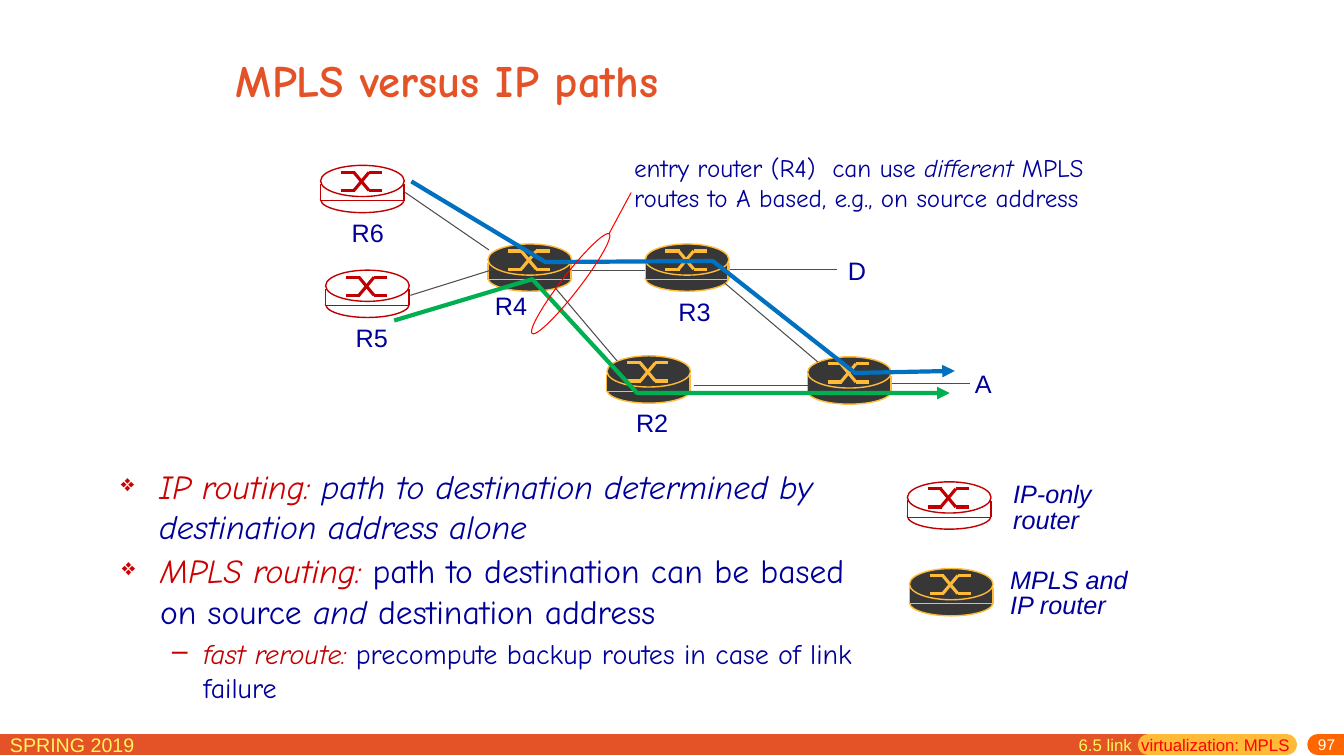
from lxml import etree
from pptx import Presentation
from pptx.dml.color import RGBColor
from pptx.enum.shapes import MSO_CONNECTOR, MSO_SHAPE
from pptx.enum.text import MSO_ANCHOR, MSO_AUTO_SIZE, PP_ALIGN
from pptx.oxml.ns import qn
from pptx.util import Inches, Pt

STRAIGHT = MSO_CONNECTOR.STRAIGHT
OVAL, RECTANGLE = MSO_SHAPE.OVAL, MSO_SHAPE.RECTANGLE
MIDDLE = MSO_ANCHOR.MIDDLE
LEFT, RIGHT = PP_ALIGN.LEFT, PP_ALIGN.RIGHT
FIT_SHAPE = MSO_AUTO_SIZE.SHAPE_TO_FIT_TEXT

SANS, HAND = "Arial", "Comic Neue"
COLORS = {
    "orange": "E45327", "amber": "FFBA37", "page": "FF6600", "yellow": "FFF65C",
    "white": "FFFFFF", "dark": "373737", "router_red": "C00000", "term": "CC0000",
    "navy": "000099", "link": "4C4C4C", "blue_path": "0070C0",
    "green_path": "00B050", "red": "FF0000",
}
IP_ROUTER = ("white", "router_red")
MPLS_ROUTER = ("dark", "amber")


def rgb(name):
    return RGBColor.from_string(COLORS[name])


def add_line(shapes, start, end, color, width, cap=None):
    line = shapes.add_connector(STRAIGHT, *(Inches(v) for v in (*start, *end)))
    line.line.color.rgb = rgb(color)
    line.line.width = Pt(width)
    if cap:
        line.line._get_or_add_ln().set("cap", cap)
    etree.SubElement(line._element.spPr, qn("a:effectLst"))
    return line


def add_outline(shapes, kind, box, fill, color, width):
    shape = shapes.add_shape(kind, *(Inches(v) for v in box))
    shape.shadow.inherit = False
    if fill:
        shape.fill.solid()
        shape.fill.fore_color.rgb = rgb(fill)
    else:
        shape.fill.background()
    shape.line.color.rgb = rgb(color)
    shape.line.width = Pt(width)
    return shape


def add_router(slide, x, y, palette):
    fill, color = palette
    parts = slide.shapes.add_group_shape().shapes
    add_outline(parts, OVAL, (x, y + 0.21, 0.83, 0.26), fill, color, 1)
    for side in (x, x + 0.83):
        add_line(parts, (side, y + 0.19), (side, y + 0.35), color, 1)
    add_outline(parts, RECTANGLE, (x, y + 0.19, 0.82, 0.16), fill, color, 0.75)
    add_outline(parts, OVAL, (x, y, 0.83, 0.31), fill, color, 1)
    upper, lower = y + 0.07, y + 0.25
    for entry, departure in ((upper, lower), (lower, upper)):
        add_line(parts, (x + 0.2, entry), (x + 0.34, entry), color, 2.25)
        add_line(parts, (x + 0.48, departure), (x + 0.61, departure), color, 2.25)
        add_line(parts, (x + 0.33, entry), (x + 0.48, departure), color, 2.25)


def add_path(slide, points, color):
    corners = [(Inches(x), Inches(y)) for x, y in points]
    builder = slide.shapes.build_freeform(*corners[0])
    builder.add_line_segments(corners[1:], close=False)
    path = builder.convert_to_shape()
    path.shadow.inherit = False
    path.fill.background()
    path.line.color.rgb = rgb(color)
    path.line.width = Pt(3)
    etree.SubElement(path.line._get_or_add_ln(), qn("a:tailEnd"), type="triangle")


def add_text_box(slide, box, wrap=True, grow=False):
    frame = slide.shapes.add_textbox(*(Inches(v) for v in box)).text_frame
    frame.word_wrap = wrap
    if grow:
        frame.auto_size = FIT_SHAPE
    return frame


def write(paragraph, runs, size, font, color=None, italic=None):
    paragraph.font.size = Pt(size)
    paragraph.font.name = font
    paragraph.font.italic = italic
    if color:
        paragraph.font.color.rgb = rgb(color)
    for text, run_color, run_italic in runs:
        run = paragraph.add_run()
        run.text = text
        if run_color:
            run.font.color.rgb = rgb(run_color)
        if run_italic is not None:
            run.font.italic = run_italic


def plain(text):
    return [(text, None, None)]


def add_label(slide, text, x, y, width):
    frame = add_text_box(slide, (x, y, width, 0.4), wrap=False, grow=True)
    write(frame.paragraphs[0], plain(text), 18, SANS, "navy")


def add_legend(slide, lines, x, y, width):
    frame = add_text_box(slide, (x, y, width, 0.61), wrap=False, grow=True)
    for index, text in enumerate(lines):
        paragraph = frame.add_paragraph() if index else frame.paragraphs[0]
        paragraph.line_spacing = Pt(18)
        write(paragraph, plain(text), 18, SANS, "navy", True)


def write_bullet(paragraph, runs, size, mark, mark_size, margin, hanging):
    props = paragraph._p.get_or_add_pPr()
    props.set("marL", str(Inches(margin)))
    props.set("indent", str(-Inches(hanging)))
    mark_color = etree.SubElement(props, qn("a:buClr"))
    etree.SubElement(mark_color, qn("a:srgbClr"), val=COLORS[runs[0][1]])
    etree.SubElement(props, qn("a:buSzPct"), val=str(mark_size * 1000))
    etree.SubElement(props, qn("a:buChar"), char=mark)
    paragraph.space_before = Pt(size * 0.2)
    write(paragraph, runs, size, HAND)


def add_footer(slide):
    for start, end, color, cap in (
        (-0.18, 11.39, "orange", "flat"),
        (11.39, 12.76, "amber", "rnd"),
        (13.07, 13.6, "page", "rnd"),
    ):
        add_line(slide.shapes, (start, 7.39), (end, 7.39), color, 15, cap)
    term = add_text_box(slide, (0, 7.22, 2.29, 0.31))
    write(term.paragraphs[0], plain("SPRING 2019"), 14, SANS, "yellow")
    page = add_text_box(slide, (10.75, 7.32, 2.59, 0.18))
    page.margin_top, page.margin_bottom = 0, Inches(0.05)
    page.vertical_anchor = MIDDLE
    page.paragraphs[0].alignment = RIGHT
    write(page.paragraphs[0], plain("97"), 11, SANS, "white")
    section = add_text_box(slide, (10.6, 7.24, 2.36, 0.31))
    write(section.paragraphs[0], [
        ("6.5 link  ", "yellow", None), ("virtualization: MPLS", "red", None),
    ], 12, SANS)


def add_title(slide):
    title = slide.shapes.title
    title.left, title.top = Inches(2.24), Inches(0.16)
    title.width, title.height = Inches(8.5), Inches(1.25)
    title.text_frame.vertical_anchor = MIDDLE
    heading = title.text_frame.paragraphs[0]
    heading.alignment = LEFT
    heading.font.bold = True
    write(heading, plain("MPLS versus IP paths"), 32, HAND, "orange")


def add_network(slide):
    for x, y, palette in (
        (8.01, 3.54, MPLS_ROUTER), (6.02, 3.53, MPLS_ROUTER),
        (6.4, 2.42, MPLS_ROUTER), (4.84, 2.42, MPLS_ROUTER),
        (3.18, 1.64, IP_ROUTER), (3.23, 2.68, IP_ROUTER),
        (9, 4.78, IP_ROUTER), (9.02, 5.64, MPLS_ROUTER),
    ):
        add_router(slide, x, y, palette)
    for start, end in (
        ((4.02, 1.91), (4.85, 2.48)), ((4.07, 2.93), (4.87, 2.68)),
        ((5.67, 2.68), (6.4, 2.68)), ((5.51, 2.86), (6.12, 3.58)),
        ((6.88, 3.82), (8.02, 3.82)), ((7.19, 2.81), (8.11, 3.59)),
        ((8.85, 3.8), (9.62, 3.8)), ((7.24, 2.67), (8.3, 2.67)),
    ):
        add_line(slide.shapes, start, end, "link", 0.75)
    for text, x, y, width in (
        ("R2", 6.21, 3.99, 0.52), ("R3", 6.63, 2.89, 0.52),
        ("R4", 4.81, 2.83, 0.52), ("R5", 3.43, 3.15, 0.52),
        ("R6", 3.39, 2.11, 0.52), ("D", 8.31, 2.48, 0.38), ("A", 9.57, 3.6, 0.37),
    ):
        add_label(slide, text, x, y, width)
    add_path(slide, [(4.08, 1.8), (5.41, 2.6), (7.07, 2.59), (8.48, 3.7),
                     (9.47, 3.68)], "blue_path")
    add_path(slide, [(3.91, 3.18), (5.28, 2.77), (6.32, 3.9), (9.42, 3.9)],
             "green_path")
    add_legend(slide, ("IP-only", "router"), 9.95, 4.75, 0.99)
    add_legend(slide, ("MPLS and", "IP router"), 9.92, 5.6, 1.45)


def add_callout(slide):
    ring = add_outline(slide.shapes, OVAL, (5.57, 2.19, 0.18, 1.25), None, "red", 0.75)
    ring.rotation = 37.7
    add_line(slide.shapes, (6.04, 2.32), (6.26, 1.91), "red", 0.75)
    note = add_text_box(slide, (6.19, 1.46, 5.19, 0.71), grow=True)
    write(note.paragraphs[0], [
        ("entry router (R4)  can use ", None, None), ("different", None, True),
        (" MPLS routes to A based, e.g., on source address", None, None),
    ], 18, HAND, "navy")


def add_explanations(slide):
    ip_routing = add_text_box(slide, (1.1, 4.57, 7.55, 0.82))
    write_bullet(ip_routing.paragraphs[0], [
        ("IP routing: ", "term", True),
        ("path to destination determined by destination address alone", "navy", True),
    ], 24, "❖", 70, 0.38, 0.38)
    mpls_routing = add_text_box(slide, (1.11, 5.41, 7.56, 1.69))
    write_bullet(mpls_routing.paragraphs[0], [
        ("MPLS routing: ", "term", True),
        ("path to destination can be based on source ", "navy", False),
        ("and", "navy", True), (" destination address", "navy", False),
    ], 24, "❖", 70, 0.38, 0.38)
    reroute = mpls_routing.add_paragraph()
    reroute.level = 1
    write_bullet(reroute, [
        ("fast reroute: ", "router_red", True),
        ("precompute backup routes in case of link failure", "navy", False),
    ], 20, "–", 100, 0.81, 0.31)


def main():
    deck = Presentation()
    deck.slide_width, deck.slide_height = Inches(13.33), Inches(7.5)
    slide = deck.slides.add_slide(deck.slide_layouts[5])
    add_footer(slide)
    add_title(slide)
    add_network(slide)
    add_explanations(slide)
    add_callout(slide)
    deck.save("out.pptx")


if __name__ == "__main__":
    main()
